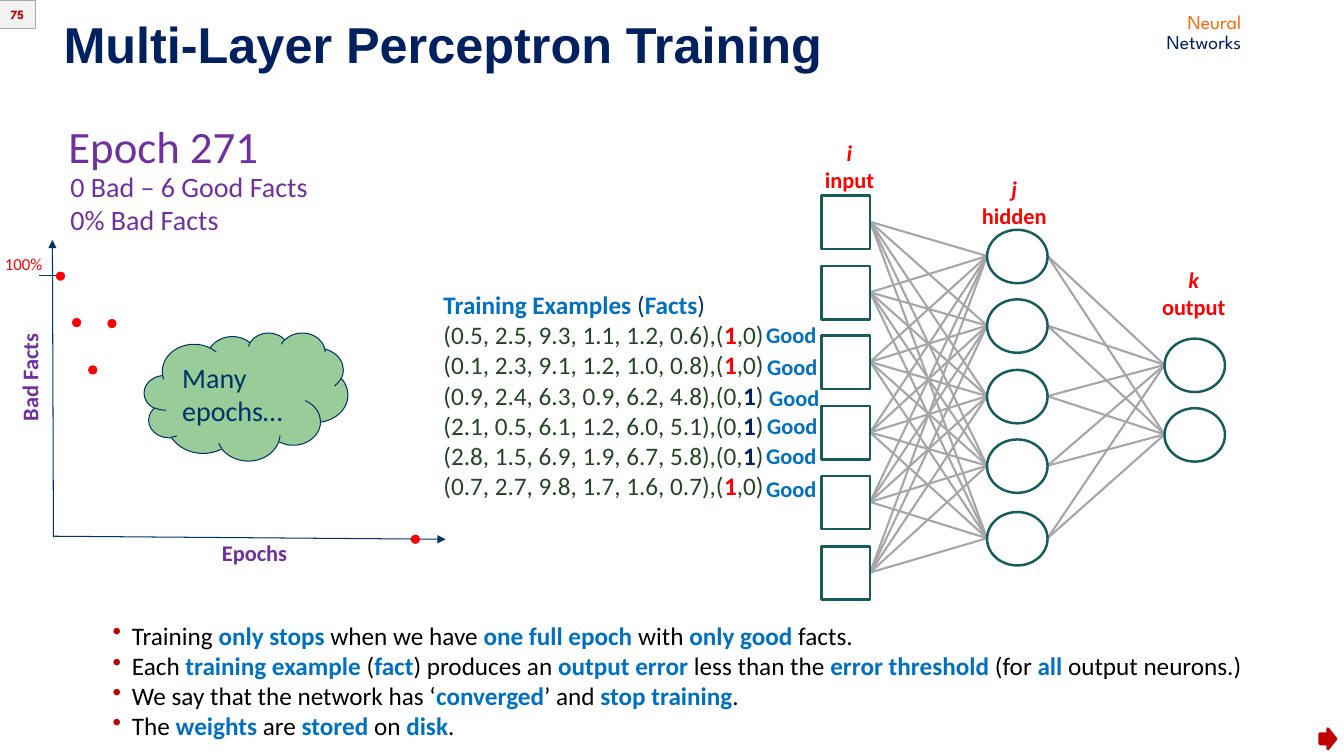
from dataclasses import dataclass
from itertools import product
from typing import Optional, Sequence

from lxml import etree
from pptx import Presentation
from pptx.dml.color import RGBColor
from pptx.enum.shapes import MSO_CONNECTOR, MSO_SHAPE
from pptx.enum.text import MSO_ANCHOR, MSO_AUTO_SIZE, PP_ALIGN
from pptx.oxml.ns import qn
from pptx.util import Emu, Pt

PX = 9144  # EMU per px, 100 px to the inch
STRAIGHT = MSO_CONNECTOR.STRAIGHT
RECT, ELLIPSE = MSO_SHAPE.RECTANGLE, MSO_SHAPE.OVAL
CLOUD, RIGHT_ARROW = MSO_SHAPE.CLOUD, MSO_SHAPE.RIGHT_ARROW
LEFT, CENTER, RIGHT = PP_ALIGN.LEFT, PP_ALIGN.CENTER, PP_ALIGN.RIGHT

NAVY = RGBColor(0x00, 0x20, 0x60)
INK = RGBColor(0x00, 0x33, 0x66)
BLUE = RGBColor(0x00, 0x70, 0xC0)
PURPLE = RGBColor(0x70, 0x30, 0xA0)
RED = RGBColor(0xFF, 0x00, 0x00)
DARK_RED = RGBColor(0xC0, 0x00, 0x00)
ORANGE = RGBColor(0xFF, 0x66, 0x00)
FOREST = RGBColor(0x26, 0x45, 0x26)
TEAL = RGBColor(0x17, 0x5C, 0x5C)
CLOUD_GREEN = RGBColor(0x99, 0xCC, 0x99)
GRAY = RGBColor(0xA6, 0xA6, 0xA6)
PALE_GRAY = RGBColor(0xF2, 0xF2, 0xF2)
BLACK = RGBColor(0x00, 0x00, 0x00)


@dataclass(frozen=True)
class Line:
    """One paragraph; parts between asterisks are bold in the strong colour."""
    text: str
    size: int
    color: RGBColor
    bold: bool = False
    italic: bool = False
    align: PP_ALIGN = LEFT
    font: str = "Calibri"
    strong: Optional[RGBColor] = None
    spacing: Optional[Pt] = None
    bullet: Optional[RGBColor] = None


@dataclass(frozen=True)
class Label:
    left: int
    top: int
    width: int
    height: int
    lines: Sequence[Line]
    rotation: int = 0


@dataclass(frozen=True)
class Layer:
    shape: MSO_SHAPE
    left: int
    width: int
    tops: Sequence[int]
    height: int = 53

    def centers(self) -> list[int]:
        return [top + self.height // 2 for top in self.tops]


def add_bullet(paragraph, color: RGBColor) -> None:
    props = paragraph._p.get_or_add_pPr()
    props.set("marL", str(19 * PX))
    props.set("indent", str(-19 * PX))
    bullet_color = etree.SubElement(props, qn("a:buClr"))
    etree.SubElement(bullet_color, qn("a:srgbClr"), val=str(color))
    etree.SubElement(props, qn("a:buChar"), char="•")


def write_lines(frame, lines: Sequence[Line]) -> None:
    for index, line in enumerate(lines):
        paragraph = frame.add_paragraph() if index else frame.paragraphs[0]
        paragraph.alignment = line.align
        if line.spacing is not None:
            paragraph.line_spacing = line.spacing
        if line.bullet is not None:
            add_bullet(paragraph, line.bullet)
        font = paragraph.font
        font.name, font.size = line.font, Pt(line.size)
        font.bold, font.italic = line.bold, line.italic
        font.color.rgb = line.color
        for part, text in enumerate(line.text.split("*")):
            if not text:
                continue
            run = paragraph.add_run()
            run.text = text
            if part % 2:
                run.font.bold = True
                run.font.color.rgb = line.strong


def add_label(slide, label: Label) -> None:
    box = slide.shapes.add_textbox(label.left * PX, label.top * PX,
                                   label.width * PX, label.height * PX)
    box.rotation = label.rotation
    box.text_frame.word_wrap = True
    write_lines(box.text_frame, label.lines)


def add_figure(slide, kind: MSO_SHAPE, left: int, top: int, width: int, height: int,
               outline: RGBColor, weight: float = 0.75, fill: Optional[RGBColor] = None,
               lines: Sequence[Line] = ()) -> None:
    figure = slide.shapes.add_shape(kind, left * PX, top * PX, width * PX, height * PX)
    figure.shadow.inherit = False
    if fill is None:
        figure.fill.background()
    else:
        figure.fill.solid()
        figure.fill.fore_color.rgb = fill
    figure.line.color.rgb = outline
    figure.line.width = Pt(weight)
    if lines:
        figure.text_frame.word_wrap = False
        figure.text_frame.vertical_anchor = MSO_ANCHOR.MIDDLE
        write_lines(figure.text_frame, lines)


def add_line(slide, x1: int, y1: int, x2: int, y2: int, color: RGBColor,
             weight: float, arrow: bool = False) -> None:
    line = slide.shapes.add_connector(STRAIGHT, x1 * PX, y1 * PX, x2 * PX, y2 * PX)
    line.line.color.rgb = color
    line.line.width = Pt(weight)
    if arrow:
        etree.SubElement(line.line._get_or_add_ln(), qn("a:tailEnd"), type="triangle")
    etree.SubElement(line._element.spPr, qn("a:effectLst"))


INPUT = Layer(RECT, 815, 48, (194, 264, 333, 403, 472, 542))
HIDDEN = Layer(ELLIPSE, 979, 60, (228, 297, 367, 436, 508))
OUTPUT = Layer(ELLIPSE, 1155, 60, (336, 405))
LAYER_NAMES = (("i", "input", 792, 133, 101), ("j", "hidden", 945, 169, 122),
               ("k", "output", 1120, 259, 128))

FACTS = (
    ("(0.5, 2.5, 9.3, 1.1, 1.2, 0.6),(*1*,0)", RED),
    ("(0.1, 2.3, 9.1, 1.2, 1.0, 0.8),(*1*,0)", RED),
    ("(0.9, 2.4, 6.3, 0.9, 6.2, 4.8),(0,*1*)", NAVY),
    ("(2.1, 0.5, 6.1, 1.2, 6.0, 5.1),(0,*1*)", NAVY),
    ("(2.8, 1.5, 6.9, 1.9, 6.7, 5.8),(0,*1*)", NAVY),
    ("(0.7, 2.7, 9.8, 1.7, 1.6, 0.7),(*1*,0)", RED),
)
VERDICT_SPOTS = ((750, 314), (751, 345), (753, 376), (751, 404), (750, 434), (750, 466))
BAD_FACT_POINTS = ((56, 270), (72, 316), (88, 363), (107, 317), (408, 531))
CONCLUSIONS = (
    "Training *only stops* when we have *one full epoch* with *only good* facts.",
    "Each *training example* (*fact*) produces an *output error* less than the "
    "*error threshold* (for *all* output neurons.)",
    "We say that the network has ‘*converged*’ and *stop training*.",
    "The *weights* are *stored* on *disk*.",
)
LABELS = (
    Label(430, 282, 346, 222,
          [Line("*Training Examples* (*Facts*)", 18, INK, strong=BLUE)]
          + [Line(fact, 18, FOREST, strong=target) for fact, target in FACTS]),
    Label(58, 113, 336, 64, [Line("Epoch 271", 32, PURPLE)]),
    Label(60, 163, 308, 77, [Line("0 Bad – 6 Good Facts", 20, PURPLE),
                             Line("0% Bad Facts", 20, PURPLE)]),
    Label(-11, 247, 69, 30, [Line("100%", 12, RED, align=CENTER)]),
    Label(209, 530, 87, 37, [Line("Epochs", 16, PURPLE, bold=True, align=CENTER)]),
    Label(-31, 356, 121, 37, [Line("Bad Facts", 16, PURPLE, bold=True, align=CENTER)], 270),
    Label(102, 610, 1206, 131,
          [Line(text, 18, BLACK, strong=BLUE, bullet=DARK_RED) for text in CONCLUSIONS]),
    Label(1125, 9, 116, 49,
          [Line(word, 14, color, align=RIGHT, font="League Spartan", spacing=Pt(14))
           for word, color in (("Neural", ORANGE), ("Networks", NAVY))]),
)


def main() -> None:
    deck = Presentation()
    deck.slide_width, deck.slide_height = Emu(1333 * PX), Emu(750 * PX)
    slide = deck.slides.add_slide(deck.slide_layouts[5])

    # Title
    title = slide.shapes.title
    title.left, title.top, title.width, title.height = (v * PX for v in (53, 13, 813, 66))
    title.text_frame.auto_size = MSO_AUTO_SIZE.NONE
    title.text_frame.vertical_anchor = MSO_ANCHOR.BOTTOM
    write_lines(title.text_frame, [Line("Multi-Layer Perceptron Training", 36, NAVY,
                                        bold=True, font="Arial", spacing=0.9)])

    # Network: every neuron feeds every neuron of the next layer
    for source, target in ((INPUT, HIDDEN), (HIDDEN, OUTPUT)):
        for start, end in product(source.centers(), target.centers()):
            add_line(slide, source.left + source.width, start, target.left, end, GRAY, 1.5)
    for layer in (INPUT, HIDDEN, OUTPUT):
        for top in layer.tops:
            add_figure(slide, layer.shape, layer.left, top, layer.width, layer.height, TEAL, 1.75)
    for index, name, left, top, width in LAYER_NAMES:
        add_label(slide, Label(left, top, width, 64, [
            Line(index, 16, RED, bold=True, italic=True, align=CENTER),
            Line(name, 16, RED, bold=True, align=CENTER)]))

    # Bad facts over epochs
    add_line(slide, 53, 532, 442, 535, INK, 0.75, arrow=True)
    add_line(slide, 53, 533, 52, 238, INK, 0.75, arrow=True)
    add_line(slide, 39, 273, 64, 273, INK, 0.75)
    for left, top in BAD_FACT_POINTS:
        add_figure(slide, ELLIPSE, left, top, 8, 8, RED, fill=RED)
    add_figure(slide, CLOUD, 143, 330, 202, 127, INK, fill=CLOUD_GREEN,
               lines=[Line("Many", 20, INK), Line("epochs…", 20, INK)])

    # Texts and verdicts
    for label in LABELS:
        add_label(slide, label)
    for left, top in VERDICT_SPOTS:
        add_label(slide, Label(left, top, 70, 37, [Line("Good", 16, BLUE, bold=True)]))

    # Slide number and forward arrow
    add_figure(slide, RIGHT_ARROW, 1309, 723, 16, 20, DARK_RED, 2, DARK_RED)
    add_figure(slide, RECT, -1, 0, 36, 28, GRAY, fill=PALE_GRAY,
               lines=[Line("75", 9, DARK_RED, bold=True, align=CENTER, font="League Spartan")])

    deck.save("out.pptx")


if __name__ == "__main__":
    main()
